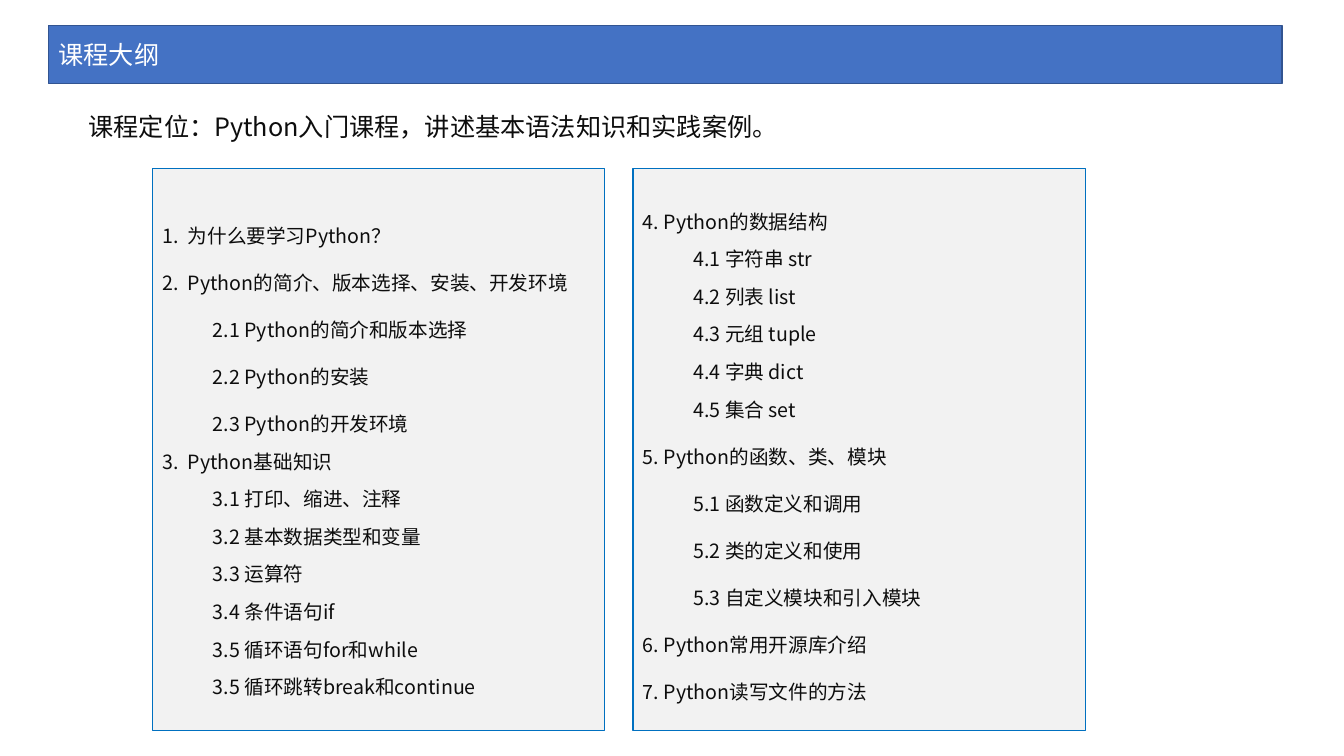
from lxml import etree
from pptx import Presentation
from pptx.dml.color import RGBColor
from pptx.enum.text import MSO_ANCHOR, MSO_AUTO_SIZE, PP_ALIGN
from pptx.oxml.ns import qn
from pptx.util import Cm, Pt

MIDDLE = MSO_ANCHOR.MIDDLE
NO_FIT = MSO_AUTO_SIZE.NONE
LEFT = PP_ALIGN.LEFT

FONT = "Noto Sans CJK SC"
COLOURS = {
    "banner": "4472C4",
    "banner_line": "325491",
    "panel": "F2F2F2",
    "panel_line": "0070C0",
    "white": "FFFFFF",
    "ink": "0D0D0D",
}
WIDE, TIGHT = 2.0, 1.6
PANEL_LEFT, PANEL_STEP = 3.84, 12.11

OUTLINES = [
    [
        (0, WIDE, 1, "为什么要学习Python？"),
        (0, WIDE, 2, "Python的简介、版本选择、安装、开发环境"),
        (1, WIDE, None, "2.1 Python的简介和版本选择"),
        (1, WIDE, None, "2.2 Python的安装"),
        (1, WIDE, None, "2.3 Python的开发环境"),
        (0, TIGHT, 3, "Python基础知识"),
        (1, TIGHT, None, "3.1 打印、缩进、注释"),
        (1, TIGHT, None, "3.2 基本数据类型和变量"),
        (1, TIGHT, None, "3.3 运算符"),
        (1, TIGHT, None, "3.4 条件语句if"),
        (1, TIGHT, None, "3.5 循环语句for和while"),
        (1, TIGHT, None, "3.5 循环跳转break和continue"),
    ],
    [
        (0, TIGHT, None, "4. Python的数据结构"),
        (1, TIGHT, None, "4.1 字符串 str"),
        (1, TIGHT, None, "4.2 列表 list"),
        (1, TIGHT, None, "4.3 元组 tuple"),
        (1, TIGHT, None, "4.4 字典 dict"),
        (1, TIGHT, None, "4.5 集合 set"),
        (0, WIDE, None, "5. Python的函数、类、模块"),
        (1, WIDE, None, "5.1 函数定义和调用"),
        (1, WIDE, None, "5.2 类的定义和使用"),
        (1, WIDE, None, "5.3 自定义模块和引入模块"),
        (0, WIDE, None, "6. Python常用开源库介绍"),
        (0, WIDE, None, "7. Python读写文件的方法"),
    ],
]


class OutlineSlide:
    def __init__(self, deck):
        self.slide = deck.slides.add_slide(deck.slide_layouts[3])

    def place(self, box, left, top, width, height):
        box.left, box.top = Cm(left), Cm(top)
        box.width, box.height = Cm(width), Cm(height)
        frame = box.text_frame
        frame.word_wrap = True
        frame.auto_size = NO_FIT
        frame.vertical_anchor = MIDDLE
        return frame

    def paint(self, box, fill, line):
        box.fill.solid()
        box.fill.fore_color.rgb = RGBColor.from_string(COLOURS[fill])
        box.line.color.rgb = RGBColor.from_string(COLOURS[line])
        box.line.width = Pt(1)

    def set_text(self, para, text, size, colour, spacing=1.0):
        para.text = text
        para.alignment = LEFT
        para.line_spacing = spacing
        para.space_before = Pt(0)
        para.font.size = Pt(size)
        para.font.color.rgb = RGBColor.from_string(COLOURS[colour])
        para.font.name = FONT
        defaults = para._p.pPr.find(qn("a:defRPr"))
        etree.SubElement(defaults, qn("a:ea")).set("typeface", FONT)

    def mark(self, para, level, number):
        para.level = level
        properties = para._p.get_or_add_pPr()
        hanging = Cm(0.64) if number else 0
        properties.set("marL", str(hanging + level * Cm(1.27)))
        properties.set("indent", str(-hanging))
        if number:
            bullet = etree.SubElement(properties, qn("a:buAutoNum"))
            bullet.set("type", "arabicPeriod")
            bullet.set("startAt", str(number))
        else:
            etree.SubElement(properties, qn("a:buNone"))

    def title(self, text):
        box = self.slide.shapes.title
        frame = self.place(box, 1.22, 0.64, 31.09, 1.47)
        self.paint(box, "banner", "banner_line")
        self.set_text(frame.paragraphs[0], text, 18, "white")

    def summary(self, text):
        box = self.slide.shapes.add_textbox(0, 0, 0, 0)
        frame = self.place(box, 1.98, 2.49, 31.09, 1.4)
        self.set_text(frame.paragraphs[0], text, 18, "ink")

    def outline(self, column, items):
        box = self.slide.placeholders[column + 1]
        left = PANEL_LEFT + column * PANEL_STEP
        frame = self.place(box, left, 4.24, 11.4, 14.17)
        self.paint(box, "panel", "panel_line")
        for index, (level, spacing, number, text) in enumerate(items):
            para = frame.add_paragraph() if index else frame.paragraphs[0]
            self.mark(para, level, number)
            self.set_text(para, text, 14, "ink", spacing)


def main():
    deck = Presentation()
    deck.slide_width, deck.slide_height = Cm(33.87), Cm(19.05)
    page = OutlineSlide(deck)
    page.title("课程大纲")
    page.summary("课程定位：Python入门课程，讲述基本语法知识和实践案例。")
    for column, items in enumerate(OUTLINES):
        page.outline(column, items)
    deck.save("out.pptx")


if __name__ == "__main__":
    main()
